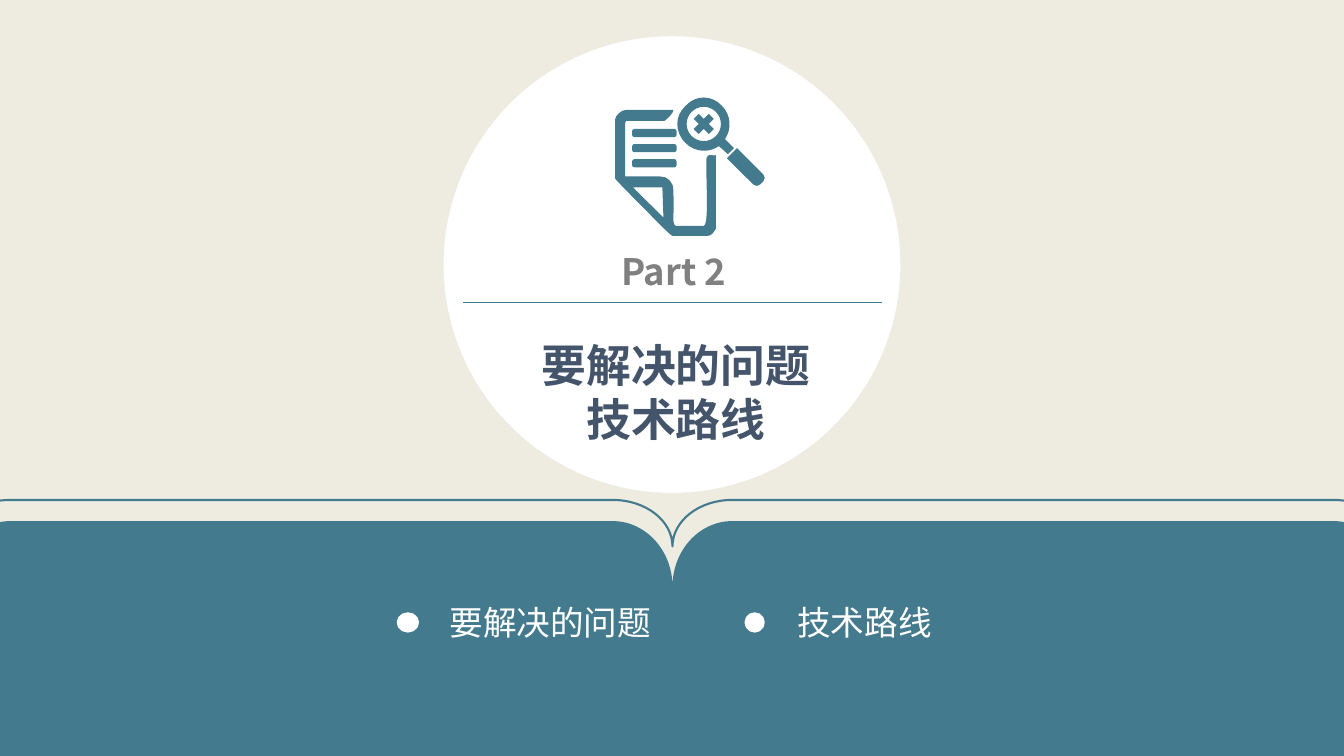
from dataclasses import dataclass

from lxml.etree import SubElement
from pptx import Presentation
from pptx.dml.color import RGBColor
from pptx.enum.shapes import MSO_CONNECTOR as Connector, MSO_SHAPE as Shape
from pptx.enum.text import MSO_AUTO_SIZE as AutoSize, PP_ALIGN as Align
from pptx.oxml.ns import qn
from pptx.util import Inches, Pt


@dataclass(frozen=True)
class Theme:
    font: str = "Noto Sans CJK SC"
    paper: str = "EEECE1"
    teal: str = "447A8D"
    white: str = "FFFFFF"
    slate: str = "44546A"
    grey: str = "808080"
    title_size: int = 32
    part_size: int = 26
    topic_size: int = 24


# A contour is a list of steps: (x, y) is a point to go straight to,
# six numbers are the two handles and the end of a curve.

def rounded(corners, rx, ry):
    """Contour of clockwise quarter turns: centre and outward x, y direction."""
    bend = 0.55
    contour = []
    for x, y, dx, dy in corners:
        sideways, upright = (x + dx * rx, y), (x, y + dy * ry)
        side_handle = (x + dx * rx, y + dy * ry * bend)
        upright_handle = (x + dx * rx * bend, y + dy * ry)
        if dx == dy:
            start, curve = sideways, (*side_handle, *upright_handle, *upright)
        else:
            start, curve = upright, (*upright_handle, *side_handle, *sideways)
        # Top left and bottom right leave from the side, the others from above or below
        start = tuple(round(n, 3) for n in start)
        curve = tuple(round(n, 3) for n in curve)
        if not contour or contour[-1][-2:] != start:
            contour.append(start)
        contour.append(curve)
    return contour


def box(left, top, right, bottom, r):
    return rounded([(left + r, top + r, -1, -1), (right - r, top + r, 1, -1),
                    (right - r, bottom - r, 1, 1), (left + r, bottom - r, -1, 1)], r, r)


def book(top, bottom, ry):
    """Two rounded pages that meet at the middle of the slide."""
    left, left_in, right_in, right = 0.1, 6.08, 7.26, 13.23
    high, low = top + ry, bottom - ry
    return rounded([(left_in, high, 1, -1), (right_in, high, -1, -1),
                    (right, high, 1, -1), (right, low, 1, 1),
                    (right_in, low, -1, 1), (left_in, low, 1, 1),
                    (left, low, -1, 1), (left, high, -1, -1)], 0.59, ry)


def search_icon():
    """Contours of a folded sheet under a magnifying glass."""
    sheet = [(6.1, 1.19), (6.1, 1.77), (6.1, 1.78, 6.35, 2.03, 6.38, 2.06),
             (6.41, 2.09, 6.65, 2.34, 6.67, 2.34), (7.02, 2.34),
             (7.06, 2.34, 7.08, 2.3, 7.1, 2.27), (7.1, 1.54),
             (7.08, 1.55, 7.02, 1.52, 7.01, 1.56),
             (7, 1.58, 7.01, 1.85, 7.01, 1.9), (7.01, 1.96, 7.02, 2.24, 6.98, 2.24),
             (6.7, 2.24), (6.67, 2.24, 6.68, 2.14, 6.68, 2.11), (6.68, 1.97),
             (6.68, 1.84, 6.68, 1.81, 6.6, 1.76), (6.57, 1.76, 6.57, 1.75, 6.54, 1.75),
             (6.2, 1.75), (6.2, 1.22), (6.2, 1.21, 6.21, 1.21, 6.21, 1.2), (6.59, 1.2),
             (6.62, 1.18, 6.68, 1.12, 6.68, 1.09), (6.21, 1.09),
             (6.16, 1.09, 6.1, 1.15, 6.1, 1.19)]
    fold = [(6.58, 2.16), (6.57, 1.86), (6.28, 1.86)]
    rim = [(6.8, 1.05), (6.9, 0.94, 7.06, 0.94, 7.16, 1.05),
           (7.25, 1.14, 7.26, 1.28, 7.19, 1.38), (7.28, 1.47), (7.22, 1.53),
           (7.13, 1.45), (7.03, 1.52, 6.89, 1.51, 6.8, 1.42),
           (6.69, 1.31, 6.69, 1.15, 6.8, 1.05)]
    glass = box(6.81, 1.06, 7.15, 1.4, 0.17)
    handle = [(7.31, 1.47), (7.57, 1.73), (7.59, 1.75, 7.59, 1.78, 7.57, 1.8),
              (7.54, 1.83), (7.52, 1.85, 7.49, 1.85, 7.47, 1.83), (7.21, 1.57)]
    arms = [(-1, 0), (-2, 1), (-1, 2), (0, 1), (1, 2), (2, 1),
            (1, 0), (2, -1), (1, -2), (0, -1), (-1, -2), (-2, -1)]
    cross = [(6.98 + 0.05 * x, 1.23 + 0.05 * y) for x, y in arms]
    tops = [1.28 + 0.15 * row for row in range(3)]
    bars = [box(6.27, top, 6.71, top + 0.08, 0.02) for top in tops]
    return [sheet, cross, handle, rim, glass, fold, *bars]


class SlidePainter:
    def __init__(self, slide, theme):
        self.slide, self.theme = slide, theme
        background = slide.background.fill
        background.solid()
        background.fore_color.rgb = RGBColor.from_string(theme.paper)

    def paint(self, shape, fill, line, width):
        shape.shadow.inherit = False
        if fill:
            shape.fill.solid()
            shape.fill.fore_color.rgb = RGBColor.from_string(fill)
        else:
            shape.fill.background()
        if line:
            shape.line.color.rgb = RGBColor.from_string(line)
            shape.line.width = Pt(width)
        else:
            shape.line.fill.background()

    def outline(self, contours, fill=None, line=None, width=1.5):
        builder = None
        for (x, y), *steps in contours:
            start = Inches(x), Inches(y)
            if builder is None:
                builder = self.slide.shapes.build_freeform(*start)
            else:
                builder.move_to(*start)
            builder.add_line_segments(
                [(Inches(step[i]), Inches(step[i + 1]))
                 for step in steps for i in range(0, len(step), 2)], close=True)
        shape = builder.convert_to_shape()
        # Join the three points of each curve into one Bezier step
        points = iter(list(shape._element.iter(qn("a:lnTo"))))
        for _, *steps in contours:
            for step in steps:
                first, *others = [next(points) for _ in range(len(step) // 2)]
                if others:
                    first.tag = qn("a:cubicBezTo")
                for other in others:
                    first.append(other[0])
                    other.getparent().remove(other)
        self.paint(shape, fill, line, width)

    def ellipse(self, left, top, width, height, fill, line=None, line_width=2.25):
        oval = self.slide.shapes.add_shape(
            Shape.OVAL, Inches(left), Inches(top), Inches(width), Inches(height))
        self.paint(oval, fill, line, line_width)

    def rule(self, left, right, y, color):
        rule = self.slide.shapes.add_connector(
            Connector.STRAIGHT, Inches(left), Inches(y), Inches(right), Inches(y))
        rule.line.color.rgb = RGBColor.from_string(color)
        rule.line.width = Pt(1)
        SubElement(rule._element.spPr, qn("a:effectLst"))

    def text(self, lines, left, top, width, height, size, color,
             bold=False, align=Align.LEFT, wrap=True, inset=None):
        frame = self.slide.shapes.add_textbox(
            Inches(left), Inches(top), Inches(width), Inches(height)).text_frame
        frame.word_wrap = wrap
        frame.auto_size = AutoSize.SHAPE_TO_FIT_TEXT
        if inset is not None:
            frame.margin_left = frame.margin_right = Inches(inset)
            frame.margin_top = frame.margin_bottom = Inches(inset)
        frame.text = "\n".join(lines)
        for paragraph in frame.paragraphs:
            paragraph.alignment = align
            font = paragraph.font
            font.size, font.bold, font.name = Pt(size), bold, self.theme.font
            font.color.rgb = RGBColor.from_string(color)
            # East Asian letters take their own typeface entry
            properties = paragraph._p.pPr.find(qn("a:defRPr"))
            SubElement(properties, qn("a:ea"), typeface=self.theme.font)


def main():
    deck = Presentation()
    deck.slide_width, deck.slide_height = Inches(13.33), Inches(7.5)
    theme = Theme()
    painter = SlidePainter(deck.slides.add_slide(deck.slide_layouts[6]), theme)
    topics = ["要解决的问题", "技术路线"]

    # Open book
    painter.outline([book(5.17, 8.24, 0.65)], fill=theme.teal)
    painter.outline([book(4.96, 7.14, 0.46)], line=theme.teal)

    # Round title panel
    painter.ellipse(4.4, 0.36, 4.53, 4.53, theme.white)
    painter.rule(4.59, 8.75, 3, theme.teal)
    painter.text(topics, 4.44, 3.3, 4.53, 1.18, theme.title_size, theme.slate,
                 bold=True, align=Align.CENTER)
    painter.text(["Part 2"], 6.16, 2.47, 1.09, 0.44, theme.part_size, theme.grey,
                 bold=True, wrap=False, inset=0)

    # Topics on the book
    for topic, left, dot_width, width in zip(topics, (3.95, 7.4), (0.19, 0.17),
                                             (3.13, 2.91)):
        painter.ellipse(left, 6.09, dot_width, 0.17, theme.white, theme.white)
        painter.text([topic], left + 0.41, 5.92, width, 0.5,
                     theme.topic_size, theme.white)

    # Search icon
    painter.outline(search_icon(), fill=theme.teal)

    deck.save("out.pptx")


if __name__ == "__main__":
    main()
